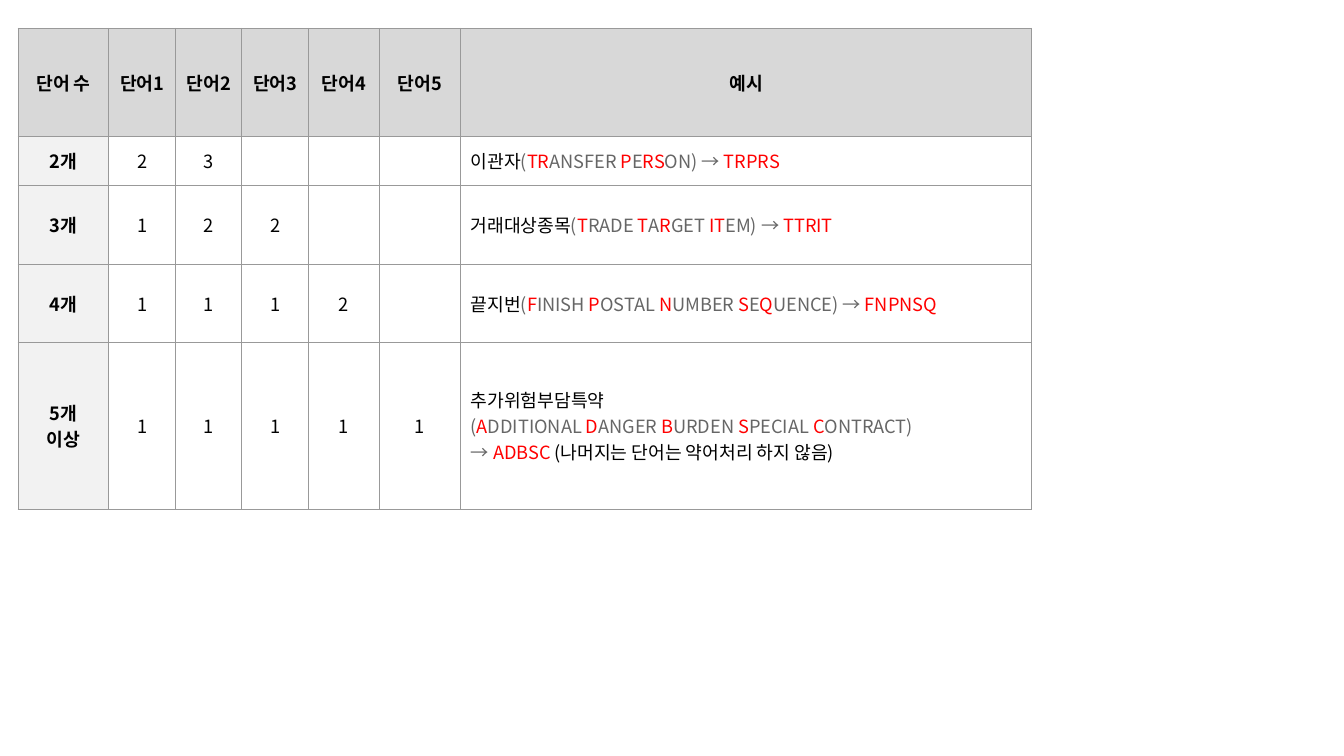
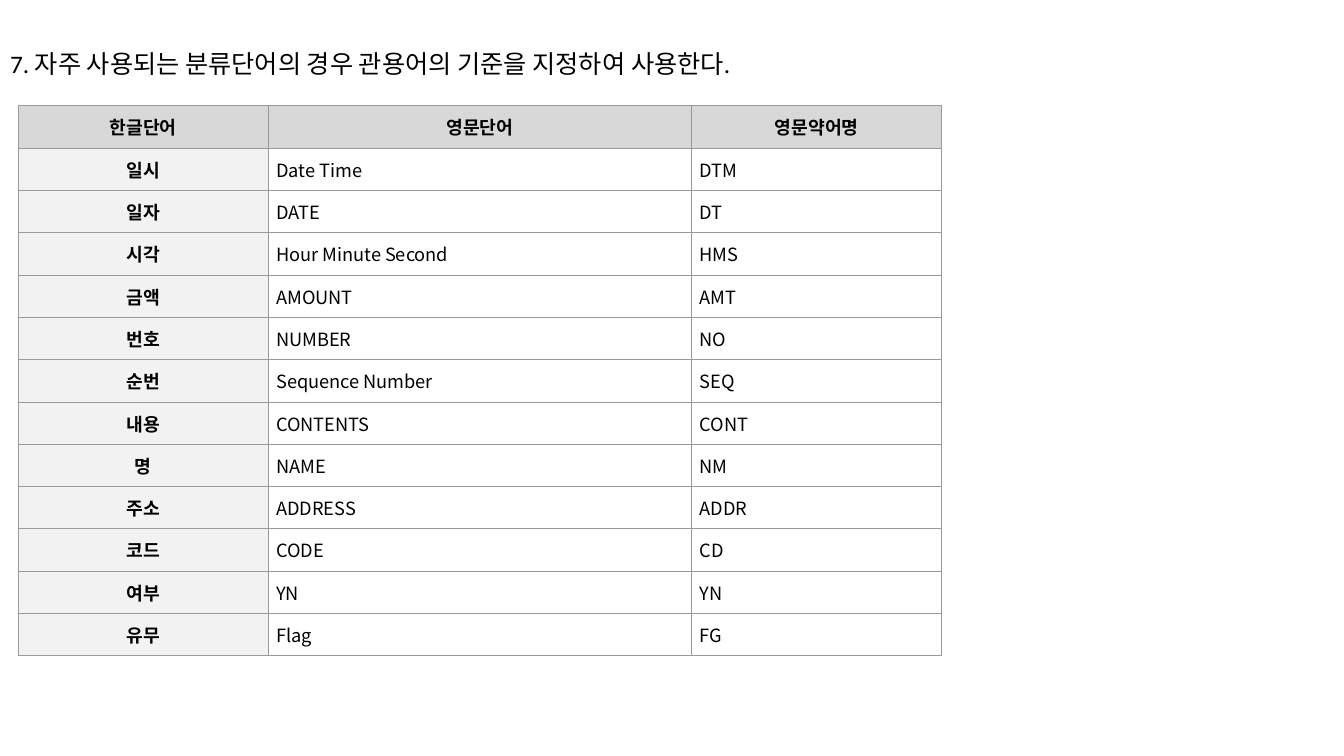
import pptx
import pptx.dml.color
import pptx.enum.text
import pptx.oxml
import pptx.oxml.ns
import pptx.util
from lxml import etree

SLIDE_SIZE = (13.33, 7.5)
TABLE_LEFT = 0.18
TABLE_FONT, TITLE_FONT = "Noto Sans CJK KR", "Calibri"
TABLE_SIZE, TITLE_SIZE = 13, 18
BLACK, GREY, RED = "000000", "666666", "FF0000"
HEADER_FILL, LABEL_FILL, BODY_FILL = "D8D8D8", "F2F2F2", "FFFFFF"
BORDER_COLOUR, BORDER_WIDTH = "999999", 0.75

# Each example line: black lead, grey and red pieces in turn between bars, black tail.
ABBREVIATION_HEADER = ["단어 수", "단어1", "단어2", "단어3", "단어4", "단어5", "예시"]
ABBREVIATION_RULES = [
    ("2개", "23", [("이관자", "(|TR|ANSFER |P|E|RS|ON) → |TRPRS", "")]),
    ("3개", "122", [("거래대상종목", "(|T|RADE |T|A|R|GET| IT|EM) → |TTRIT", "")]),
    ("4개", "1112", [("끝지번", "(|F|INISH |P|OSTAL| N|UMBER| S|E|Q|UENCE) → |FNPNSQ", "")]),
    ("5개\n이상", "11111", [
        ("추가위험부담특약", "", ""),
        ("", "(|A|DDITIONAL |D|ANGER |B|URDEN |S|PECIAL |C|ONTRACT)", ""),
        ("", "→ |ADBSC ", "(나머지는 단어는 약어처리 하지 않음)"),
    ]),
]
ABBREVIATION_COLUMNS = [0.9] + [0.66] * 3 + [0.7, 0.81, 5.66]
ABBREVIATION_ROWS = [1.07, 0.49, 0.78, 0.78, 1.65]

IDIOM_TITLE = "7. 자주 사용되는 분류단어의 경우 관용어의 기준을 지정하여 사용한다."
IDIOMS = [
    ("한글단어", "영문단어", "영문약어명"),
    ("일시", "Date Time", "DTM"),
    ("일자", "DATE", "DT"),
    ("시각", "Hour Minute Second", "HMS"),
    ("금액", "AMOUNT", "AMT"),
    ("번호", "NUMBER", "NO"),
    ("순번", "Sequence Number", "SEQ"),
    ("내용", "CONTENTS", "CONT"),
    ("명", "NAME", "NM"),
    ("주소", "ADDRESS", "ADDR"),
    ("코드", "CODE", "CD"),
    ("여부", "YN", "YN"),
    ("유무", "Flag", "FG"),
]
IDIOM_COLUMNS = [2.48, 4.2, 2.48]
IDIOM_ROW = 0.42


def inches(value):
    return pptx.util.Inches(value)


def colour(hex_text):
    return pptx.dml.color.RGBColor.from_string(hex_text)


def plain_lines(text):
    return [[(line, BLACK)] for line in text.split("\n")]


def example_line(lead, marked, tail):
    """Turn one example into (text, colour) pieces."""
    pieces = [(text, (GREY, RED)[index % 2])
              for index, text in enumerate(marked.split("|"))]
    return [piece for piece in [(lead, BLACK)] + pieces + [(tail, BLACK)] if piece[0]]


def style_run(run, font_name, size, hex_text, bold=False):
    run.font.name = font_name
    run.font.size = pptx.util.Pt(size)
    run.font.bold = bold
    run.font.color.rgb = colour(hex_text)
    east_asian = etree.SubElement(run.font._element, pptx.oxml.ns.qn("a:ea"))
    east_asian.set("typeface", TABLE_FONT)


def add_borders(cell):
    properties = cell._tc.get_or_add_tcPr()
    for side in "LRTB":
        properties.append(pptx.oxml.parse_xml(
            f'<a:ln{side} {pptx.oxml.ns.nsdecls("a")} w="{pptx.util.Pt(BORDER_WIDTH)}">'
            f'<a:solidFill><a:srgbClr val="{BORDER_COLOUR}"/></a:solidFill></a:ln{side}>'))


def fill_cell(cell, lines, fill, inset, centred, bold):
    add_borders(cell)
    cell.fill.solid()
    cell.fill.fore_color.rgb = colour(fill)
    cell.vertical_anchor = pptx.enum.text.MSO_ANCHOR.MIDDLE
    cell.margin_left = cell.margin_right = inches(inset)
    cell.margin_top = cell.margin_bottom = inches(inset)
    frame = cell.text_frame
    for index, line in enumerate(lines):
        paragraph = frame.add_paragraph() if index else frame.paragraphs[0]
        alignment = pptx.enum.text.PP_ALIGN
        paragraph.alignment = alignment.CENTER if centred else alignment.LEFT
        for text, hex_text in line:
            if text:
                run = paragraph.add_run()
                run.text = text
                style_run(run, TABLE_FONT, TABLE_SIZE, hex_text, bold)
        end = etree.SubElement(paragraph._p, pptx.oxml.ns.qn("a:endParaRPr"))
        end.set("sz", str(TABLE_SIZE * 100))


def add_grid(slide, top, columns, rows, content, inset, centred_columns):
    """Add a table with a header row and a label column."""
    table = slide.shapes.add_table(
        len(rows), len(columns), inches(TABLE_LEFT), inches(top),
        inches(sum(columns)), inches(sum(rows))).table
    table.first_row = table.horz_banding = False
    for column, width in zip(table.columns, columns):
        column.width = inches(width)
    for row, height in zip(table.rows, rows):
        row.height = inches(height)
    for row_index, row_content in enumerate(content):
        for column_index, lines in enumerate(row_content):
            header, label = row_index == 0, column_index == 0
            fill = HEADER_FILL if header else LABEL_FILL if label else BODY_FILL
            fill_cell(table.cell(row_index, column_index), lines, fill, inset,
                      header or column_index < centred_columns, header or label)


def add_title(slide, text):
    title = slide.shapes.title
    title.left, title.top = inches(0), inches(0.43)
    title.width, title.height = inches(12.36), inches(0.4)
    frame = title.text_frame
    frame.text = text
    frame.word_wrap = True
    frame.auto_size = pptx.enum.text.MSO_AUTO_SIZE.SHAPE_TO_FIT_TEXT
    frame.vertical_anchor = pptx.enum.text.MSO_ANCHOR.TOP
    paragraph = frame.paragraphs[0]
    paragraph.alignment = pptx.enum.text.PP_ALIGN.LEFT
    style_run(paragraph.runs[0], TITLE_FONT, TITLE_SIZE, BLACK)


def build_abbreviation_slide(presentation):
    slide = presentation.slides.add_slide(presentation.slide_layouts[6])
    content = [[plain_lines(text) for text in ABBREVIATION_HEADER]]
    word_columns = len(ABBREVIATION_HEADER) - 2
    for label, counts, example in ABBREVIATION_RULES:
        padded = list(counts) + [""] * (word_columns - len(counts))
        content.append([plain_lines(text) for text in [label] + padded]
                       + [[example_line(*line) for line in example]])
    add_grid(slide, 0.28, ABBREVIATION_COLUMNS, ABBREVIATION_ROWS, content,
             inset=0.1, centred_columns=word_columns + 1)


def build_idiom_slide(presentation):
    slide = presentation.slides.add_slide(presentation.slide_layouts[5])
    add_title(slide, IDIOM_TITLE)
    content = [[plain_lines(text) for text in row] for row in IDIOMS]
    add_grid(slide, 1.05, IDIOM_COLUMNS, [IDIOM_ROW] * len(IDIOMS), content,
             inset=0.08, centred_columns=1)


def main():
    presentation = pptx.Presentation()
    presentation.slide_width, presentation.slide_height = map(inches, SLIDE_SIZE)
    build_abbreviation_slide(presentation)
    build_idiom_slide(presentation)
    presentation.save("out.pptx")


if __name__ == "__main__":
    main()
